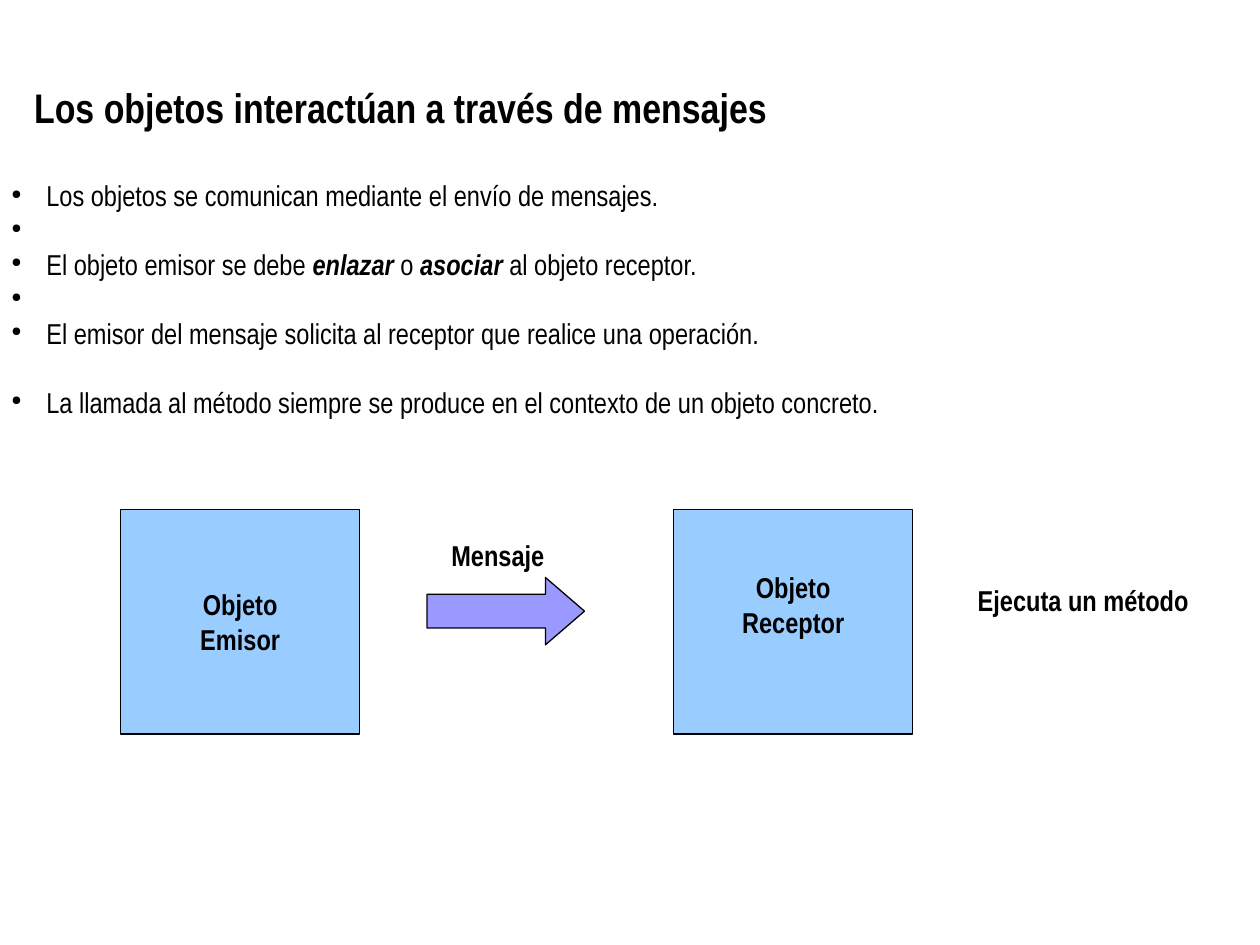
from dataclasses import dataclass

from lxml.etree import SubElement
from pptx import Presentation
from pptx.dml.color import RGBColor
from pptx.enum.shapes import MSO_SHAPE
from pptx.enum.text import MSO_ANCHOR, PP_ALIGN
from pptx.oxml.ns import qn
from pptx.util import Pt

HUES = {"ink": "000000", "box": "99CCFF", "arrow": "9999FF"}
FACE = "Arial Narrow"
SIZE = 16.4
LINE = 19.7
INDENT = 20
BOLD = {"bold": True}
STRONG = {"bold": True, "italic": True}


@dataclass
class Label:
    text: str
    left: float
    top: float
    width: float
    height: float
    size: float = SIZE
    align: PP_ALIGN = PP_ALIGN.CENTER


@dataclass
class Node:
    lines: tuple
    left: float
    lift: float


@dataclass
class Point:
    spans: tuple
    align: PP_ALIGN = PP_ALIGN.LEFT
    before: float = 0


LABELS = (
    Label("Los objetos interactúan a través de mensajes", 13, 44, 694, 34, 23.6, PP_ALIGN.LEFT),
    Label("Mensaje", 235, 304.5, 99, 25),
    Label("Ejecuta un método", 527, 330, 184, 25),
)
NODES = (Node(("Objeto", "Emisor"), 69, 0), Node(("Objeto", "Receptor"), 385, LINE))
BARE = Point(((" ", {}),))
POINTS = (
    Point((("Los objetos se comunican mediante el envío de mensajes.", {}),)),
    BARE,
    Point((
        ("El objeto emisor se debe ", {}),
        ("enlazar", STRONG),
        (" o ", {}),
        ("asociar", STRONG),
        (" al objeto receptor.", {}),
    ), PP_ALIGN.JUSTIFY),
    BARE,
    Point((("El emisor del mensaje solicita al receptor que realice una operación.", {}),)),
    Point((("La llamada al método siempre se produce en el contexto de un objeto concreto.", {}),),
          before=LINE),
)


def color(name: str) -> RGBColor:
    """Return the named colour."""
    return RGBColor.from_string(HUES[name])


def apply(item, values: dict) -> None:
    """Set each attribute in values on item."""
    for name, value in values.items():
        setattr(item, name, value)


def write(para, text: str, size: float = SIZE, style: dict = BOLD) -> None:
    """Add a styled run to a paragraph."""
    run = para.add_run()
    run.text = text
    apply(run.font, {"name": FACE, "size": Pt(size), **style})
    run.font.color.rgb = color("ink")


def setup(frame, wrap: bool, anchor: MSO_ANCHOR, lift: float = 0) -> None:
    """Set the margins, wrapping and anchor of a text frame."""
    apply(frame, {
        "margin_left": Pt(6.5), "margin_right": Pt(6.5),
        "margin_top": Pt(3), "margin_bottom": Pt(3 + lift),
        "word_wrap": wrap, "vertical_anchor": anchor,
    })


def bullet(para) -> None:
    """Give a paragraph a small hanging dot."""
    props = para._p.get_or_add_pPr()
    props.set("marL", str(Pt(INDENT)))
    props.set("indent", str(-Pt(INDENT)))
    tint = SubElement(props, qn("a:buClr"))
    SubElement(tint, qn("a:srgbClr"), val=HUES["ink"])
    SubElement(props, qn("a:buSzPct"), val="45000")
    SubElement(props, qn("a:buChar"), char="●")


def textbox(slide, left: float, top: float, width: float, height: float):
    """Add a wrapping text box and return its frame."""
    frame = slide.shapes.add_textbox(Pt(left), Pt(top), Pt(width), Pt(height)).text_frame
    setup(frame, True, MSO_ANCHOR.TOP)
    return frame


def caption(slide, label: Label) -> None:
    """Draw a bold line of text."""
    frame = textbox(slide, label.left, label.top, label.width, label.height)
    para = frame.paragraphs[0]
    para.alignment = label.align
    write(para, label.text, label.size)


def listing(slide, points: tuple) -> None:
    """Draw the bulleted list."""
    frame = textbox(slide, 0, 98.6, 720, 139)
    for rank, point in enumerate(points):
        para = frame.add_paragraph() if rank else frame.paragraphs[0]
        para.alignment = point.align
        if point.before:
            para.space_before = Pt(point.before)
        bullet(para)
        for text, style in point.spans:
            write(para, text, style=style)


def solid(slide, kind: MSO_SHAPE, place: tuple, fill: str):
    """Draw a filled shape with a hairline edge."""
    shape = slide.shapes.add_shape(kind, *map(Pt, place))
    shape.shadow.inherit = False
    shape.fill.solid()
    shape.fill.fore_color.rgb = color(fill)
    shape.line.color.rgb = color("ink")
    shape.line.width = Pt(0)
    return shape


def box(slide, node: Node) -> None:
    """Draw an object box with its name."""
    shape = solid(slide, MSO_SHAPE.RECTANGLE, (node.left, 291, 136.5, 128.5), "box")
    frame = shape.text_frame
    setup(frame, False, MSO_ANCHOR.MIDDLE, node.lift)
    for rank, text in enumerate(node.lines):
        para = frame.add_paragraph() if rank else frame.paragraphs[0]
        para.alignment = PP_ALIGN.CENTER
        write(para, text)


def main() -> None:
    """Build and save the slide."""
    deck = Presentation()
    apply(deck, {"slide_width": Pt(720), "slide_height": Pt(540)})
    slide = deck.slides.add_slide(deck.slide_layouts[6])
    listing(slide, POINTS)
    for node in NODES:
        box(slide, node)
    arrow = solid(slide, MSO_SHAPE.RIGHT_ARROW, (244, 330, 90, 38.5), "arrow")
    arrow.adjustments[1] = 0.58
    for label in LABELS:
        caption(slide, label)
    deck.save("out.pptx")


if __name__ == "__main__":
    main()
